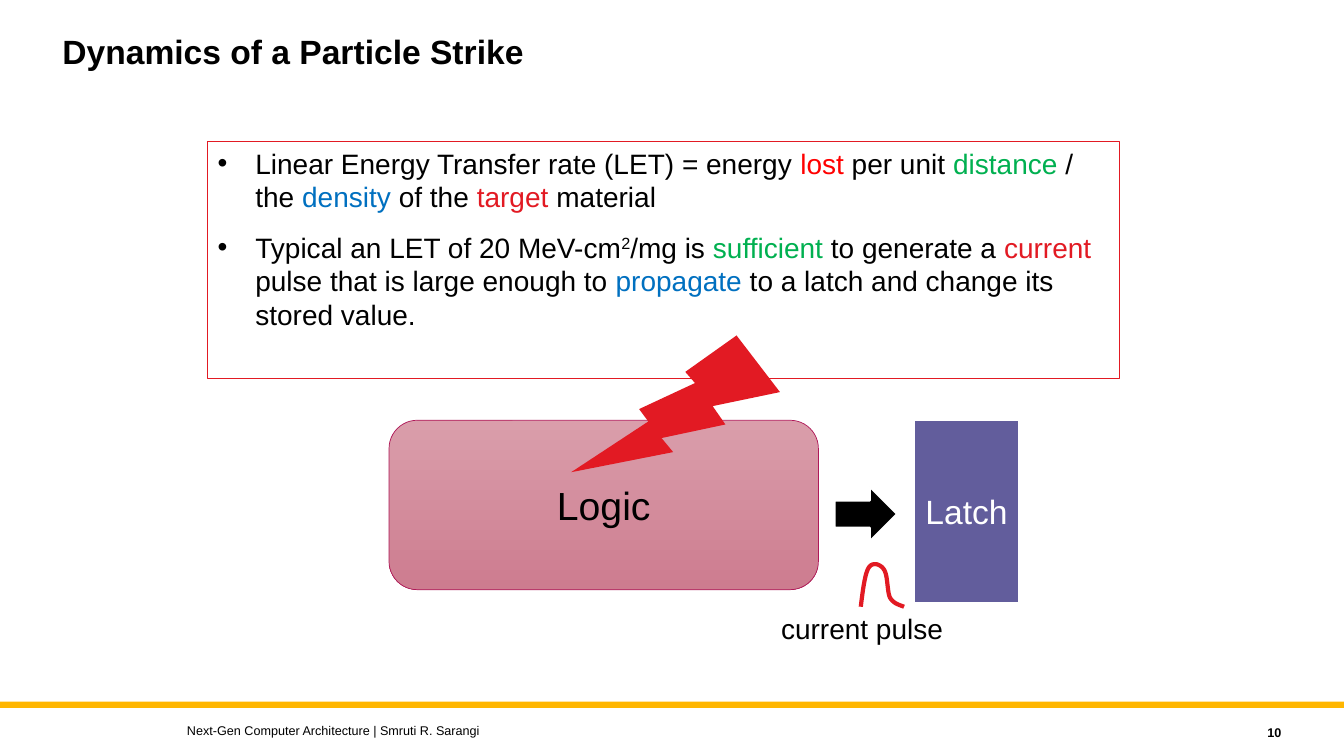
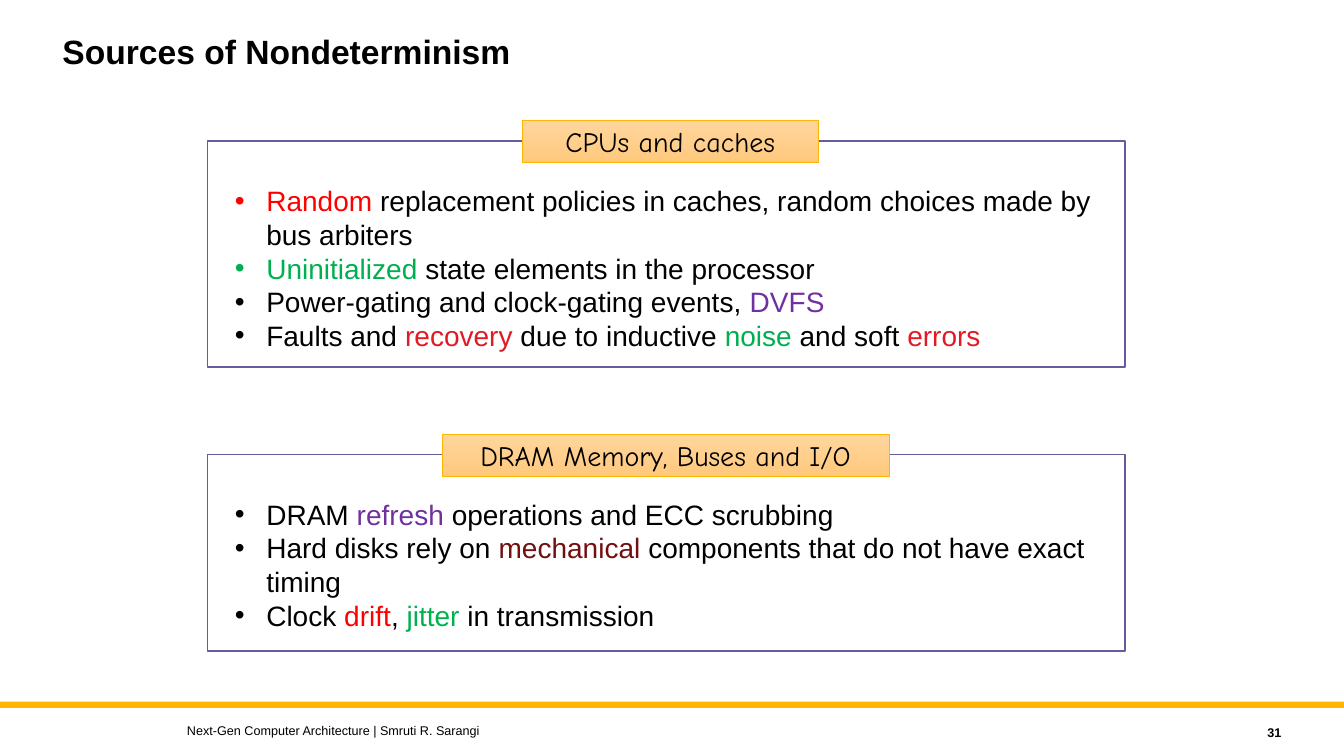
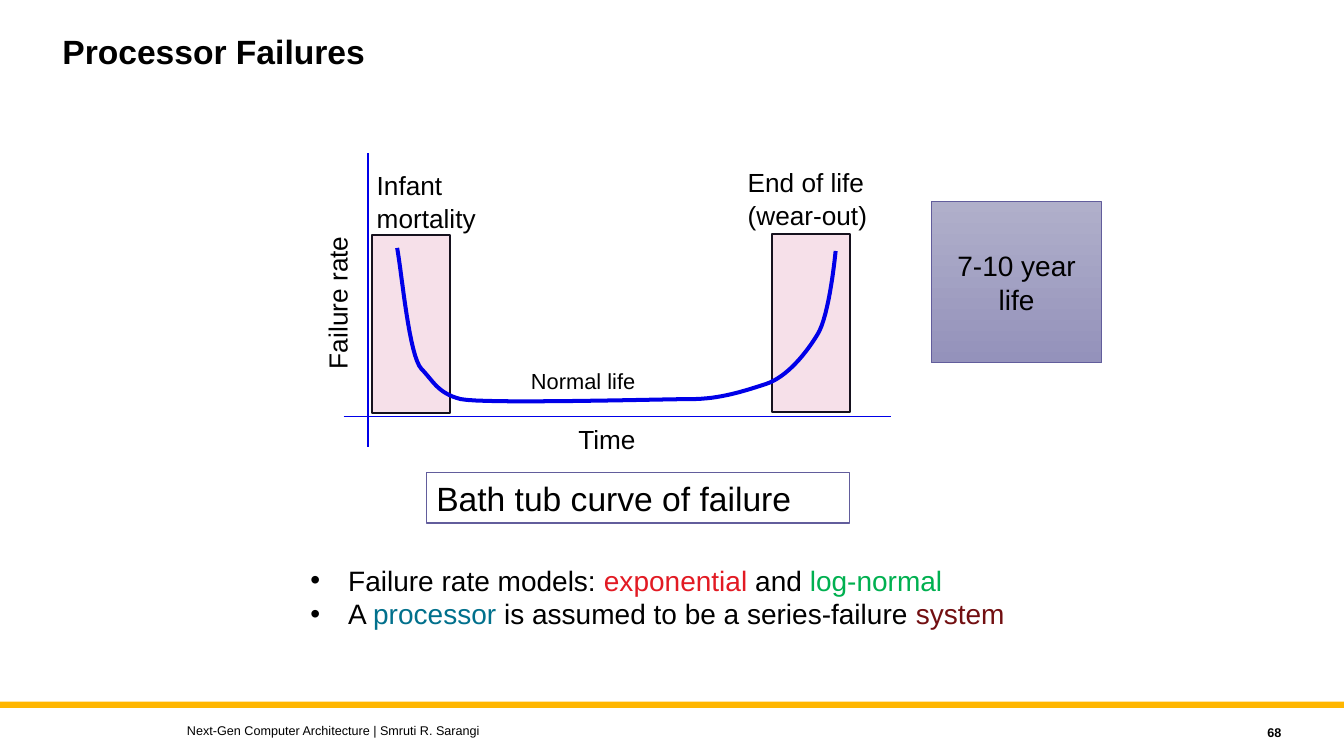
from lxml.etree import SubElement
from pptx import Presentation
from pptx.dml.color import RGBColor
from pptx.enum.shapes import MSO_CONNECTOR, MSO_SHAPE as Preset
from pptx.enum.text import MSO_ANCHOR as Anchor, PP_ALIGN as Align
from pptx.oxml.ns import qn
from pptx.util import Pt

BLACK, WHITE, GOLD = "000000", "FFFFFF", "FFB600"
RED, CRIMSON, MAROON = "FF0000", "E21A23", "720F11"
GREEN, BLUE, TEAL, PURPLE = "00B050", "0070C0", "01708C", "7030A0"
INDIGO, CURVE_BLUE, INK, PINK = "625D9C", "0000E8", "15111D", "F4D7E3"
LOGIC_SHADES = ("DA9EAB", "CD7C8F")
HEADER_SHADES = ("FFD69E", "FFC97C")
LIFE_SHADES = ("B0AFCA", "9492BB")
FOOTER = "Next-Gen Computer Architecture | Smruti R. Sarangi"
BREAK = "\n"


def rgb(code):
    """Turn a hex string into a colour."""
    return RGBColor.from_string(code)


def pts(*lengths):
    """Turn numbers of points into lengths."""
    return [Pt(length) for length in lengths]


def set_line(outline, color, width):
    """Colour a line, or hide it when it has no colour."""
    if color:
        outline.color.rgb = rgb(color)
        outline.width = Pt(width)
    else:
        outline.fill.background()


def set_fill(fill, color):
    """Fill with one colour, a top-to-bottom pair, or nothing."""
    if color is None:
        fill.background()
    elif isinstance(color, tuple):
        fill.gradient()
        fill.gradient_angle = 270
        for stop, shade in zip(fill.gradient_stops, color):
            stop.color.rgb = rgb(shade)
    else:
        fill.solid()
        fill.fore_color.rgb = rgb(color)


def add_bullet(paragraph, indent):
    """Give a paragraph a hanging round bullet."""
    props = paragraph._p.get_or_add_pPr()
    props.set("marL", str(Pt(indent)))
    props.set("indent", str(-Pt(indent)))
    SubElement(props, qn("a:buFont")).set("typeface", "Arial")
    SubElement(props, qn("a:buChar")).set("char", "•")


def add_run(paragraph, words, color, size, bold, font):
    """Add one run, raised when the words start with a caret."""
    run = paragraph.add_run()
    run.text = words.lstrip("^")
    run.font.name, run.font.size, run.font.bold = font, Pt(size), bold
    run.font.color.rgb = rgb(color)
    if words.startswith("^"):
        run.font._element.set("baseline", "30000")


def write(holder, paragraphs, size=20, color=BLACK, bold=False, font="Arial",
          align=Align.LEFT, anchor=Anchor.TOP, wrap=True, indent=0, gap=0, spacing=None):
    """Write paragraphs made of plain or (words, colour) runs."""
    frame = holder.text_frame
    frame.word_wrap, frame.vertical_anchor = wrap, anchor
    for index, runs in enumerate(paragraphs):
        paragraph = frame.add_paragraph() if index else frame.paragraphs[0]
        if indent:
            add_bullet(paragraph, indent)
        paragraph.alignment = align
        paragraph.line_spacing = spacing
        if index and gap:
            paragraph.space_before = Pt(gap)
        for run in runs:
            words, shade = (run, color) if isinstance(run, str) else run
            if words == BREAK:
                paragraph.add_line_break()
            else:
                add_run(paragraph, words, shade, size, bold, font)


def add_text(slide, box, paragraphs, **style):
    """Place a text box."""
    write(slide.shapes.add_textbox(*pts(*box)), paragraphs, **style)


def add_block(slide, preset, box, fill=None, line=None, width=0.5):
    """Place a preset shape without shadow."""
    block = slide.shapes.add_shape(preset, *pts(*box))
    block.shadow.inherit = False
    set_fill(block.fill, fill)
    set_line(block.line, line, width)
    return block


def add_label_block(slide, preset, box, label, fill, line, width=0.5, **style):
    """Place a shape with a centred label."""
    block = add_block(slide, preset, box, fill, line, width)
    write(block, [[label]], align=Align.CENTER, anchor=Anchor.MIDDLE, **style)


def add_axis(slide, start, end):
    """Draw one axis of the failure plot."""
    axis = slide.shapes.add_connector(MSO_CONNECTOR.STRAIGHT, *pts(*start, *end))
    set_line(axis.line, CURVE_BLUE, 1.2)
    SubElement(axis._element.spPr, qn("a:effectLst"))


def bezier_points(start, curves, steps=16):
    """Sample chained cubic curves, each two controls and an end."""
    points = [start]
    for curve in curves:
        anchors = [points[-1], *zip(curve[::2], curve[1::2])]
        for step in range(1, steps + 1):
            t = step / steps
            weights = ((1 - t) ** 3, 3 * t * (1 - t) ** 2, 3 * t * t * (1 - t), t ** 3)
            points.append(tuple(sum(w * a[axis] for w, a in zip(weights, anchors))
                                for axis in (0, 1)))
    return points


def add_curve(slide, start, curves, color, width):
    """Draw an open smooth curve."""
    first, *rest = [pts(*point) for point in bezier_points(start, curves)]
    builder = slide.shapes.build_freeform(*first)
    builder.add_line_segments(rest, close=False)
    curve = builder.convert_to_shape()
    curve.shadow.inherit = False
    set_fill(curve.fill, None)
    set_line(curve.line, color, width)


def new_slide(deck, title, number):
    """Start a slide with its title, band and footer."""
    slide = deck.slides.add_slide(deck.slide_layouts[6])
    add_block(slide, Preset.RECTANGLE, (0, 501.2, 960, 4.4), GOLD)
    add_text(slide, (37.5, 21.6, 720, 64.8), [[title]], size=24, bold=True, spacing=0.9)
    add_text(slide, (126.5, 512.5, 576, 18), [[FOOTER]], size=9, anchor=Anchor.MIDDLE)
    add_text(slide, (821.5, 514, 100.8, 18), [[str(number)]], size=9, bold=True,
             align=Align.RIGHT, anchor=Anchor.MIDDLE)
    return slide


def add_panel(slide, top, height, header, header_left, header_width, bullets):
    """Place a framed bullet list with a header on its top edge."""
    add_block(slide, Preset.RECTANGLE, (148.3, top, 655.2, height), WHITE, INDIGO, 1)
    add_label_block(slide, Preset.RECTANGLE, (header_left, top - 14.8, header_width, 30.2),
                    header, HEADER_SHADES, GOLD, font="Comic Neue", wrap=False)
    add_text(slide, (160.6, top + 27, 636, height - 33), bullets, indent=22.5)


def strike_slide(deck):
    """Build the particle strike slide."""
    slide = new_slide(deck, "Dynamics of a Particle Strike", 10)
    facts = add_block(slide, Preset.RECTANGLE, (148.3, 100.8, 651, 169.2), None, CRIMSON)
    write(facts, [
        ["Linear Energy Transfer rate (LET) = energy ", ("lost", RED), " per unit ",
         ("distance", GREEN), " / the ", ("density", BLUE), " of the ",
         ("target", CRIMSON), " material"],
        ["Typical an LET of 20 MeV-cm", "^2", "/mg is ", ("sufficient", GREEN),
         " to generate a ", ("current", CRIMSON), " pulse that is large enough to ",
         ("propagate", BLUE), " to a latch and change its stored value."],
    ], indent=27, gap=12)
    add_label_block(slide, Preset.ROUNDED_RECTANGLE, (277.9, 300.2, 306.7, 121), "Logic",
                    LOGIC_SHADES, "AF1858", size=28)
    add_label_block(slide, Preset.RECTANGLE, (653, 300.2, 74.9, 130.3), "Latch",
                    INDIGO, WHITE, 1.5, size=24, color=WHITE, wrap=False)
    add_block(slide, Preset.RIGHT_ARROW, (596.2, 347.8, 44.6, 38.9), BLACK, WHITE, 1.5)
    strike = add_block(slide, Preset.LIGHTNING_BOLT, (430.6, 229, 113.8, 136.8), CRIMSON)
    strike.rotation = 23.6
    strike._element.spPr.find(qn("a:xfrm")).set("flipH", "1")
    add_curve(slide, (614.9, 433.4), [
        (616.3, 421.9, 617.8, 409.7, 620.6, 405.4),
        (623.5, 401, 629.3, 403.2, 631.4, 406.8),
        (634.3, 410.4, 633.6, 422.6, 635.8, 427),
        (638.6, 431.3, 642.2, 432, 645.8, 433.4),
    ], CRIMSON, 3)
    add_text(slide, (550.8, 433.4, 131, 31.7), [["current pulse"]], wrap=False)


def nondeterminism_slide(deck):
    """Build the sources of nondeterminism slide."""
    slide = new_slide(deck, "Sources of Nondeterminism", 31)
    add_panel(slide, 100.8, 161.3, "CPUs and caches", 373, 211.7, [
        [("Random", RED), " replacement policies in caches, random choices made by",
         BREAK, "bus arbiters"],
        [("Uninitialized", GREEN), " state elements in the processor"],
        ["Power-gating and clock-gating events, ", ("DVFS", PURPLE)],
        ["Faults and ", ("recovery", CRIMSON), " due to inductive ", ("noise", GREEN),
         " and soft ", ("errors", CRIMSON)],
    ])
    add_panel(slide, 324.7, 140.4, "DRAM Memory, Buses and I/O", 316, 319, [
        ["DRAM ", ("refresh", PURPLE), " operations and ECC scrubbing"],
        ["Hard disks rely on ", ("mechanical", MAROON),
         " components that do not have exact", BREAK, "timing"],
        ["Clock ", ("drift", RED), ", ", ("jitter", GREEN), " in transmission"],
    ])


def add_bath_tub(slide):
    """Draw the failure rate plot."""
    for left, top in ((265.7, 167.8), (551.5, 167)):
        phase = add_block(slide, Preset.RECTANGLE, (left, top, 55.6, 127.4), PINK, INK, 1.56)
        tint = phase._element.spPr.find(qn("a:solidFill"))[0]
        SubElement(tint, qn("a:alpha")).set("val", "77000")
    add_axis(slide, (245.5, 297.4), (636.5, 297.4))
    add_axis(slide, (262.8, 319), (262.8, 109.4))
    add_curve(slide, (283.7, 177.1), [
        (287.3, 197.3, 292.3, 254.2, 301, 263.5),
        (309.6, 272.2, 312.5, 280.8, 329, 285.1),
        (346.3, 288.7, 474.5, 285.1, 493.9, 285.1),
        (514.1, 285.1, 531.4, 279.4, 547.2, 274.3),
        (562.3, 269.3, 576, 252, 583.9, 239),
        (592.6, 225.4, 596.9, 179.3, 596.9, 179.3),
    ], CURVE_BLUE, 2.86)
    for label, left, top, width, size in (
            ("Time", 406, 298.8, 61.2, 18.7), ("Normal life", 372.2, 259.2, 90, 15.6),
            ("Infant", 262, 117.4, 62, 18.7), ("mortality", 262, 141.1, 85.7, 18.7),
            ("End of life", 527, 115.2, 98.6, 18.7), ("(wear-out)", 527, 139, 100.8, 18.7)):
        add_text(slide, (left, top, width, 30.2), [[label]], size=size, wrap=False)
    rate = slide.shapes.add_textbox(*pts(183.6, 198, 115.2, 30.2))
    rate.rotation = 270
    write(rate, [["Failure rate"]], size=18.7)


def failures_slide(deck):
    """Build the processor failures slide."""
    slide = new_slide(deck, "Processor Failures", 68)
    caption = add_block(slide, Preset.RECTANGLE, (304.6, 337.7, 302.4, 36), WHITE, INDIGO, 1)
    write(caption, [["Bath tub curve of failure"]], size=24)
    add_bath_tub(slide)
    add_label_block(slide, Preset.RECTANGLE, (665.3, 144, 121.7, 115.2), "7-10 year life",
                    LIFE_SHADES, INDIGO)
    add_text(slide, (214.6, 398.9, 514, 55.4), [
        ["Failure rate models: ", ("exponential", CRIMSON), " and ", ("log-normal", GREEN)],
        ["A ", ("processor", TEAL), " is assumed to be a series-failure ", ("system", MAROON)],
    ], indent=27)


def main():
    """Build the deck and save it."""
    deck = Presentation()
    deck.slide_width, deck.slide_height = pts(960, 540)
    strike_slide(deck)
    nondeterminism_slide(deck)
    failures_slide(deck)
    deck.save("out.pptx")


if __name__ == "__main__":
    main()
